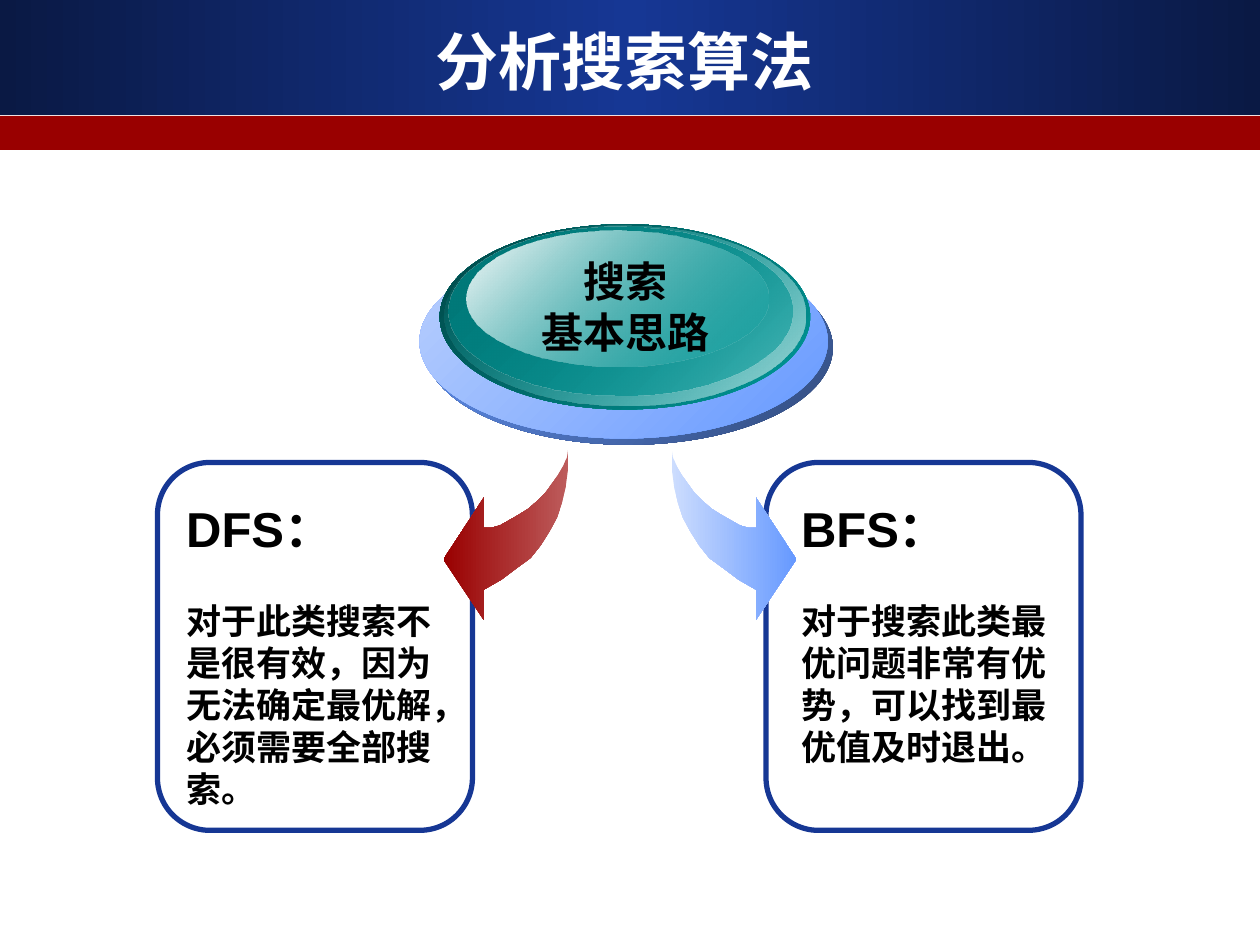
from dataclasses import dataclass

from lxml.etree import SubElement
from pptx import Presentation
from pptx.dml.color import RGBColor
from pptx.enum.shapes import MSO_SHAPE
from pptx.enum.text import MSO_ANCHOR, PP_ALIGN
from pptx.oxml.ns import qn
from pptx.util import Inches, Pt


@dataclass
class Stop:
    position: int
    color: str
    opacity: int = 100


@dataclass
class Disc:
    left: float
    top: float
    width: float
    height: float
    stops: list[Stop]


@dataclass
class Line:
    text: str
    size: int
    space_before: int = 0


@dataclass
class Panel:
    left: float
    text_left: float
    heading: str
    body: str


DISCS = [
    Disc(3.37, 1.99, 3.24, 1.54, [Stop(0, "314A7B"), Stop(100, "6699FF")]),
    Disc(3.33, 1.94, 3.24, 1.54, [Stop(0, "6699FF"), Stop(100, "BAD0FE")]),
    Disc(3.49, 1.78, 2.94, 1.47, [Stop(0, "009999"), Stop(100, "004646")]),
    Disc(3.53, 1.79, 2.86, 1.43, [Stop(0, "A5DADA"), Stop(100, "009999", 0)]),
    Disc(3.56, 1.80, 2.73, 1.34, [Stop(0, "009999", 48), Stop(100, "007878")]),
    Disc(3.70, 1.83, 2.40, 1.08, [Stop(0, "009999", 38), Stop(100, "FEFEFE")]),
]

PANELS = [
    Panel(1.25, 1.38, "DFS：", "对于此类搜索不是很有效，因为无法确定最优解，必须需要全部搜索。"),
    Panel(6.08, 6.26, "BFS：", "对于搜索此类最优问题非常有优势，可以找到最优值及时退出。"),
]

MIRROR_SUM = 9.84  # x of a point plus x of its mirror image
RIGHT_ARROW = [
    (5.33, 3.56), (5.33, 3.71), (5.35, 3.86), (5.38, 3.99), (5.42, 4.11),
    (5.48, 4.22), (5.55, 4.33), (5.63, 4.43), (5.74, 4.51), (5.86, 4.60),
    (6.00, 4.68), (6.00, 4.92), (6.32, 4.44), (6.00, 3.95), (6.00, 4.19),
    (5.94, 4.19), (5.87, 4.17), (5.80, 4.13), (5.73, 4.09), (5.65, 4.04),
    (5.58, 3.98), (5.51, 3.91), (5.46, 3.84), (5.41, 3.77), (5.37, 3.70),
    (5.34, 3.63),
]
LEFT_ARROW = [(MIRROR_SUM - x, y) for x, y in RIGHT_ARROW]


def rgb(color: str) -> RGBColor:
    return RGBColor.from_string(color)


def fill_gradient(shape, stops: list[Stop], angle: int) -> None:
    """Fill with a linear gradient; the angle is clockwise in degrees."""
    shape.fill.gradient()
    shape.fill.gradient_angle = (360 - angle) % 360
    stop_list = shape._element.spPr.find(qn("a:gradFill")).find(qn("a:gsLst"))
    for old_stop in list(stop_list):
        stop_list.remove(old_stop)
    for stop in stops:
        node = SubElement(stop_list, qn("a:gs"), pos=str(stop.position * 1000))
        color = SubElement(node, qn("a:srgbClr"), val=stop.color)
        if stop.opacity < 100:
            SubElement(color, qn("a:alpha"), val=str(stop.opacity * 1000))


def add_preset(slide, preset: MSO_SHAPE, left: float, top: float, width: float, height: float):
    """Add a preset shape with no shadow and no outline."""
    shape = slide.shapes.add_shape(
        preset, Inches(left), Inches(top), Inches(width), Inches(height))
    shape.shadow.inherit = False
    shape.line.fill.background()
    return shape


def add_text(slide, lines: list[Line], *, left: float, top: float, width: float, height: float,
             align: PP_ALIGN = PP_ALIGN.LEFT, anchor: MSO_ANCHOR = MSO_ANCHOR.TOP,
             font: str = "Arial", color: str = "000000") -> None:
    box = slide.shapes.add_textbox(Inches(left), Inches(top), Inches(width), Inches(height))
    frame = box.text_frame
    frame.word_wrap = True
    frame.vertical_anchor = anchor
    for index, line in enumerate(lines):
        paragraph = frame.add_paragraph() if index else frame.paragraphs[0]
        paragraph.alignment = align
        if line.space_before:
            paragraph.space_before = Pt(line.space_before)
        run = paragraph.add_run()
        run.text = line.text
        run.font.size = Pt(line.size)
        run.font.bold = True
        run.font.name = font
        run.font.color.rgb = rgb(color)


def add_header(slide) -> None:
    banner = add_preset(slide, MSO_SHAPE.RECTANGLE, 0, 0, 10, 0.91)
    fill_gradient(banner, [Stop(0, "0A1944"), Stop(50, "163794"), Stop(100, "0A1944")], 180)
    stripe = add_preset(slide, MSO_SHAPE.RECTANGLE, 0, 0.92, 10, 0.27)
    stripe.fill.solid()
    stripe.fill.fore_color.rgb = rgb("990000")
    add_text(slide, [Line("分析搜索算法", 36)], left=0.33, top=0.17, width=9.25, height=0.62,
             align=PP_ALIGN.CENTER, anchor=MSO_ANCHOR.MIDDLE, font="DejaVu Sans", color="FFFFFF")


def add_panel_frame(slide, panel: Panel) -> None:
    frame = add_preset(slide, MSO_SHAPE.ROUNDED_RECTANGLE, panel.left, 3.67, 2.5, 2.92)
    frame.adjustments[0] = 1 / 6
    frame.fill.background()
    frame.line.color.rgb = rgb("163794")
    frame.line.width = Pt(3)


def add_panel_text(slide, panel: Panel) -> None:
    add_text(slide, [Line(panel.heading, 28), Line(panel.body, 20, space_before=24)],
             left=panel.text_left, top=3.91, width=2.23, height=2.57)


def add_arrow(slide, points: list[tuple[float, float]], stops: list[Stop], angle: int) -> None:
    corners = [(Inches(x), Inches(y)) for x, y in points]
    builder = slide.shapes.build_freeform(*corners[0])
    builder.add_line_segments(corners[1:], close=True)
    arrow = builder.convert_to_shape()
    arrow.shadow.inherit = False
    arrow.line.fill.background()
    fill_gradient(arrow, stops, angle)


def add_disc(slide, disc: Disc) -> None:
    ellipse = add_preset(slide, MSO_SHAPE.OVAL, disc.left, disc.top, disc.width, disc.height)
    fill_gradient(ellipse, disc.stops, 225)


def main() -> None:
    presentation = Presentation()
    presentation.slide_width = Inches(10)
    presentation.slide_height = Inches(7.5)
    slide = presentation.slides.add_slide(presentation.slide_layouts[6])

    add_header(slide)
    for panel in PANELS:
        add_panel_frame(slide, panel)
    add_arrow(slide, LEFT_ARROW, [Stop(0, "BD5C5C"), Stop(100, "990000")], 180)
    add_arrow(slide, RIGHT_ARROW, [Stop(0, "CDDDFE"), Stop(100, "6699FF")], 0)
    for disc in DISCS:
        add_disc(slide, disc)
    add_text(slide, [Line("搜索", 24), Line("基本思路", 24)],
             left=4.15, top=1.98, width=1.63, height=0.9, align=PP_ALIGN.CENTER)
    for panel in PANELS:
        add_panel_text(slide, panel)

    presentation.save("out.pptx")


if __name__ == "__main__":
    main()
